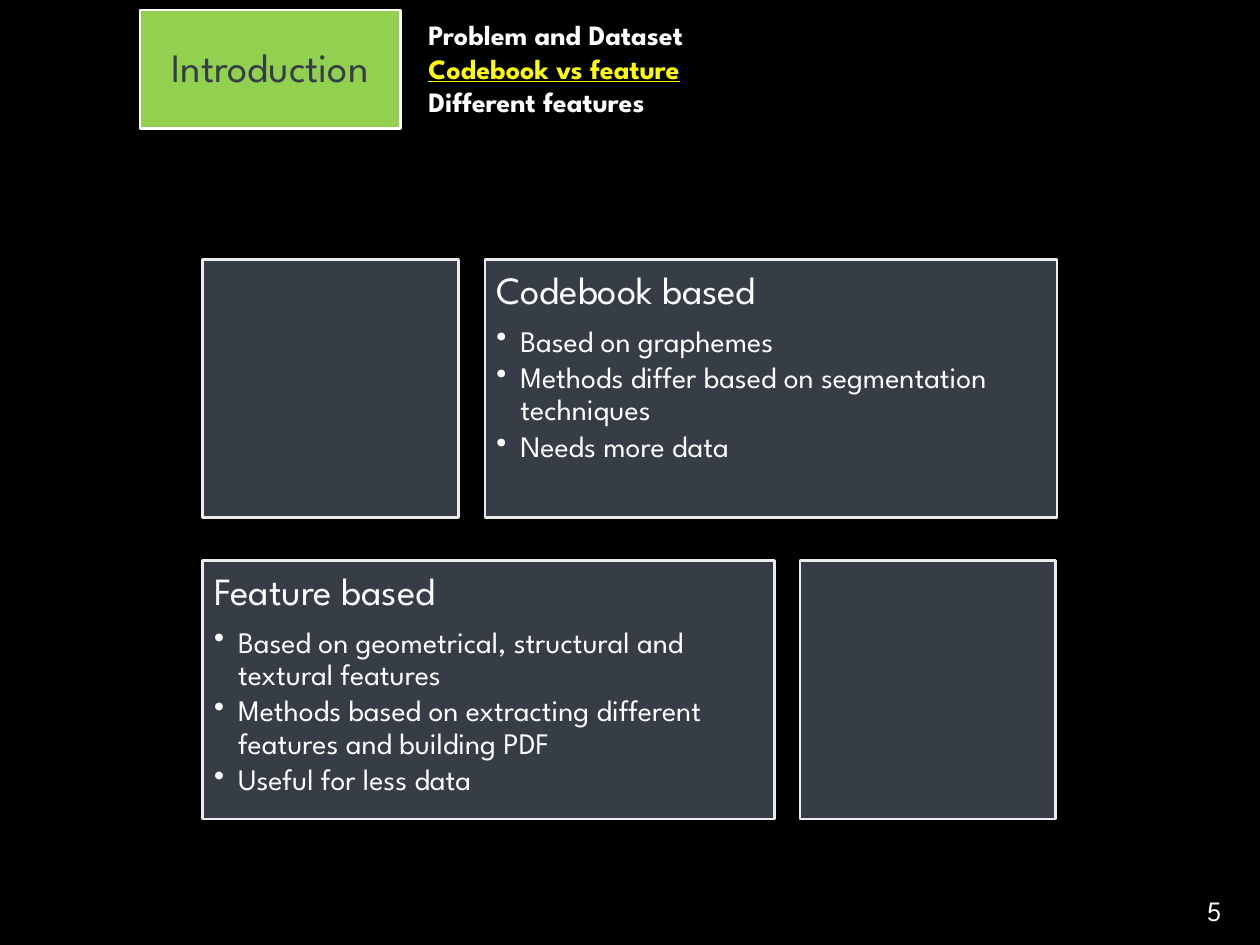
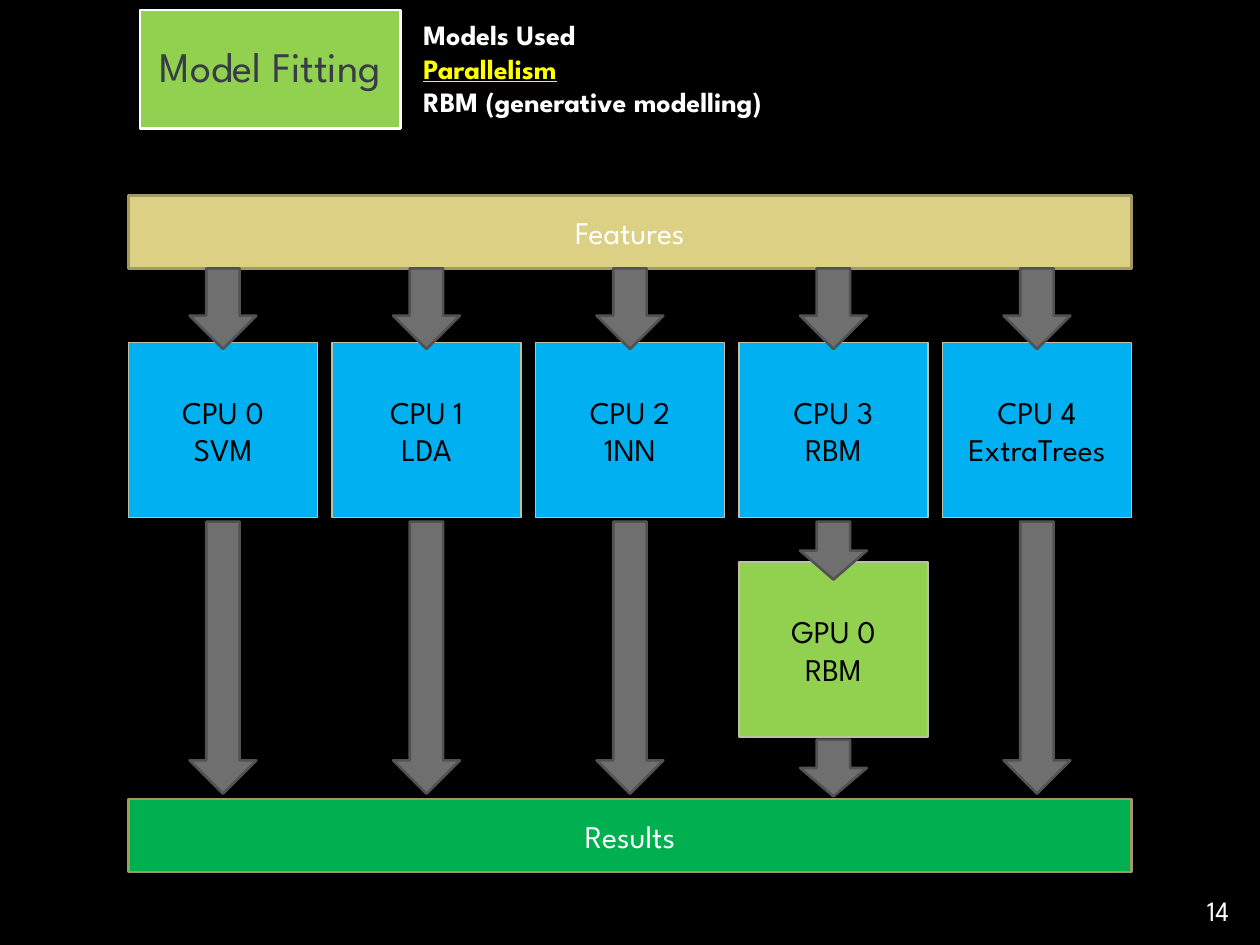
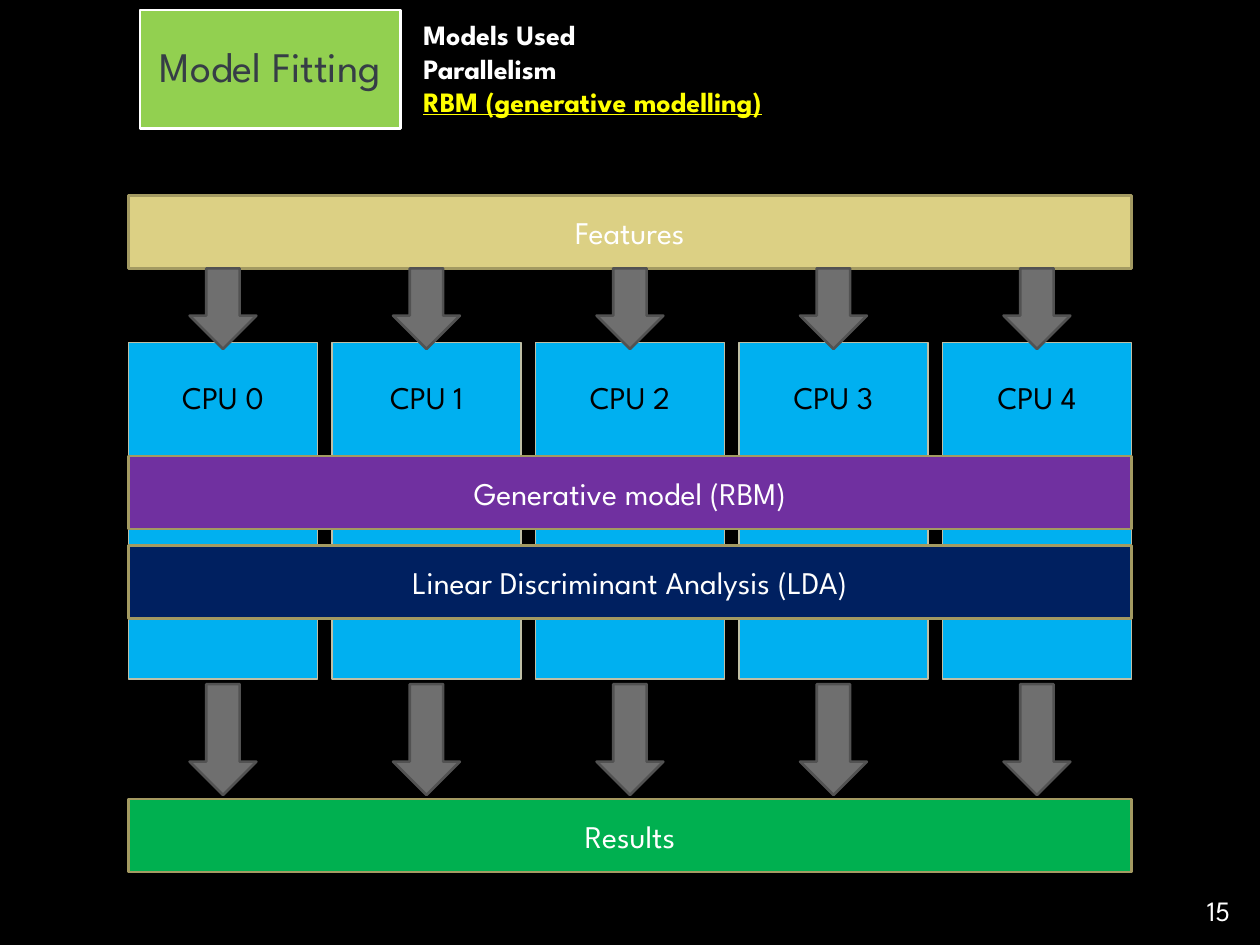
from dataclasses import dataclass

from lxml import etree
from pptx import Presentation
from pptx.dml.color import RGBColor
from pptx.enum.shapes import MSO_SHAPE
from pptx.enum.text import MSO_ANCHOR, MSO_AUTO_SIZE, PP_ALIGN
from pptx.oxml.ns import qn
from pptx.util import Inches, Pt

RECT, DOWN = MSO_SHAPE.RECTANGLE, MSO_SHAPE.DOWN_ARROW
TOP, MIDDLE = MSO_ANCHOR.TOP, MSO_ANCHOR.MIDDLE
LEFT, CENTER = PP_ALIGN.LEFT, PP_ALIGN.CENTER
FIXED = MSO_AUTO_SIZE.NONE


@dataclass(frozen=True)
class Theme:
    font: str = "League Spartan"
    black: str = "000000"
    white: str = "FFFFFF"
    slate: str = "363D46"
    mist: str = "EBEBEB"
    lime: str = "92D050"
    yellow: str = "FFFF00"
    sand: str = "DCD084"
    olive: str = "A39A62"
    blue: str = "00B0F0"
    edge: str = "BFBFA5"
    gray: str = "6F6F6F"
    dark: str = "525252"
    green: str = "00B050"
    purple: str = "7030A0"
    navy: str = "002060"
    title: int = 24
    head: int = 22
    label: int = 18
    item: int = 17
    small: int = 16


T = Theme()

# Flow grid, in inches
COUNT = 5
EDGE, WIDTH = 1.02, 7.96
BAND = 0.58
CELL = 1.5
PITCH = (WIDTH - CELL) / (COUNT - 1)
COLS = [EDGE + i * PITCH for i in range(COUNT)]
ARROW = 0.53
CELL_TOP = 2.72
RESULT_TOP = 6.34
GPU_COL = 3


def rgb(code):
    return RGBColor.from_string(code)


def set_bullet(para, char, indent):
    """Give the paragraph a hanging bullet, or none if char is empty."""
    props = para._p.get_or_add_pPr()
    props.set("marL", str(Inches(indent)))
    props.set("indent", str(-Inches(indent)))
    if char:
        etree.SubElement(props, qn("a:buChar")).set("char", char)
    else:
        etree.SubElement(props, qn("a:buNone"))


def put(frame, text, size=T.label, color=T.white, bold=False, under=False,
        align=LEFT, lines=1.0, after=0, bullet="", indent=0):
    """Add one paragraph, taking the first one while the frame is empty."""
    para = frame.add_paragraph() if frame.text else frame.paragraphs[0]
    para.alignment = align
    para.line_spacing = lines
    para.space_before, para.space_after = Pt(0), Pt(after)
    set_bullet(para, bullet, indent)
    run = para.add_run()
    run.text = text
    font = run.font
    font.name, font.size, font.bold = T.font, Pt(size), bold
    font.underline = under
    font.color.rgb = rgb(color)


def set_frame(frame, anchor=MIDDLE, inset=None):
    frame.word_wrap = True
    frame.auto_size = FIXED
    frame.vertical_anchor = anchor
    if inset is not None:
        frame.margin_left = frame.margin_right = Inches(inset)
        frame.margin_top = frame.margin_bottom = Inches(inset)
    return frame


def place(shape, left, top, width, height):
    shape.left, shape.top = Inches(left), Inches(top)
    shape.width, shape.height = Inches(width), Inches(height)


def paint(shape, fill, line, weight=1.5):
    shape.fill.solid()
    shape.fill.fore_color.rgb = rgb(fill)
    shape.line.color.rgb = rgb(line)
    shape.line.width = Pt(weight)
    shape.shadow.inherit = False


def add_form(slide, kind, box, fill, line, weight=1.5):
    shape = slide.shapes.add_shape(kind, *map(Inches, box))
    paint(shape, fill, line, weight)
    return shape


def add_slide(deck, title, topics, active, number, size=T.title, left=3.26):
    """Start a slide with its title box, topic list and page number."""
    slide = deck.slides.add_slide(deck.slide_layouts[1])
    slide.background.fill.solid()
    slide.background.fill.fore_color.rgb = rgb(T.black)

    head, body = slide.placeholders
    place(head, 1.11, 0.08, 2.07, 0.94)
    paint(head, T.lime, T.white)
    put(set_frame(head.text_frame, inset=0.1), title, size=size,
        color=T.slate, align=CENTER, lines=0.9)

    place(body, left, 0.09, 4.16, 0.91)
    frame = set_frame(body.text_frame, TOP)
    for i, topic in enumerate(topics):
        on = i == active
        put(frame, topic, size=T.small, bold=True, under=on,
            color=T.yellow if on else T.white)

    page = slide.shapes.add_textbox(*map(Inches, (9.48, 7.04, 0.52, 0.46)))
    put(set_frame(page.text_frame, TOP), str(number), size=T.small)
    return slide


def add_panel(slide, left, top, width, head="", items=()):
    shape = add_form(slide, RECT, (left, top, width, 2.05), T.slate, T.mist)
    if head:
        frame = set_frame(shape.text_frame, TOP, 0.09)
        put(frame, head, size=T.head, lines=0.9, after=8)
        for item in items:
            put(frame, item, size=T.item, lines=0.9, after=2.5,
                bullet="•", indent=0.19)


def add_band(slide, text, top, fill):
    shape = add_form(slide, RECT, (EDGE, top, WIDTH, BAND), fill, T.olive)
    put(set_frame(shape.text_frame), text, align=CENTER)


def add_cell(slide, lines, col, top, height, fill=T.blue, anchor=MIDDLE):
    box = (COLS[col], top, CELL, height)
    shape = add_form(slide, RECT, box, fill, T.edge, 0.75)
    frame = set_frame(shape.text_frame, anchor)
    if anchor == TOP:
        frame.margin_top = Inches(0.28)
    for line in lines:
        put(frame, line, color=T.black, align=CENTER)


def add_arrow(slide, col, top, height):
    left = COLS[col] + (CELL - ARROW) / 2
    add_form(slide, DOWN, (left, top, ARROW, height), T.gray, T.dark)


def add_flow(slide, cells, height, anchor=MIDDLE):
    """Draw the two end bands, the row of cells and the arrows into it."""
    add_band(slide, "Features", 1.55, T.sand)
    add_band(slide, "Results", RESULT_TOP, T.green)
    for col, lines in enumerate(cells):
        add_cell(slide, lines, col, CELL_TOP, height, anchor=anchor)
        add_arrow(slide, col, 2.13, 0.64)


def build_intro(deck):
    topics = ["Problem and Dataset", "Codebook vs feature",
              "Different features"]
    slide = add_slide(deck, "Introduction", topics, 1, 5, size=23, left=3.3)
    add_panel(slide, 3.85, 2.06, 4.54, "Codebook based", [
        "Based on graphemes",
        "Methods differ based on segmentation techniques",
        "Needs more data"])
    add_panel(slide, 1.61, 2.06, 2.03)
    add_panel(slide, 1.61, 4.45, 4.54, "Feature based", [
        "Based on geometrical, structural and textural features",
        "Methods based on extracting different features and building PDF",
        "Useful for less data"])
    add_panel(slide, 6.35, 4.45, 2.03)


def build_models(deck):
    topics = ["Models Used", "Parallelism", "RBM (generative modelling)"]

    slide = add_slide(deck, "Model Fitting", topics, 1, 14)
    models = ["SVM", "LDA", "1NN", "RBM", "ExtraTrees"]
    cells = [(f"CPU {i}", name) for i, name in enumerate(models)]
    add_flow(slide, cells, 1.39)
    add_cell(slide, ("GPU 0", "RBM"), GPU_COL, 4.46, 1.39, T.lime)
    for col in range(COUNT):
        add_arrow(slide, col, 4.14, 0.46 if col == GPU_COL else 2.16)
    add_arrow(slide, GPU_COL, 5.87, 0.45)

    slide = add_slide(deck, "Model Fitting", topics, 2, 15)
    add_flow(slide, [(f"CPU {i}",) for i in range(COUNT)], 2.67, TOP)
    for col in range(COUNT):
        add_arrow(slide, col, 5.43, 0.88)
    add_band(slide, "Generative model (RBM)", 3.62, T.purple)
    add_band(slide, "Linear Discriminant Analysis (LDA)", 4.33, T.navy)


def main():
    deck = Presentation()
    deck.slide_width, deck.slide_height = Inches(10), Inches(7.5)
    build_intro(deck)
    build_models(deck)
    deck.save("out.pptx")


if __name__ == "__main__":
    main()
